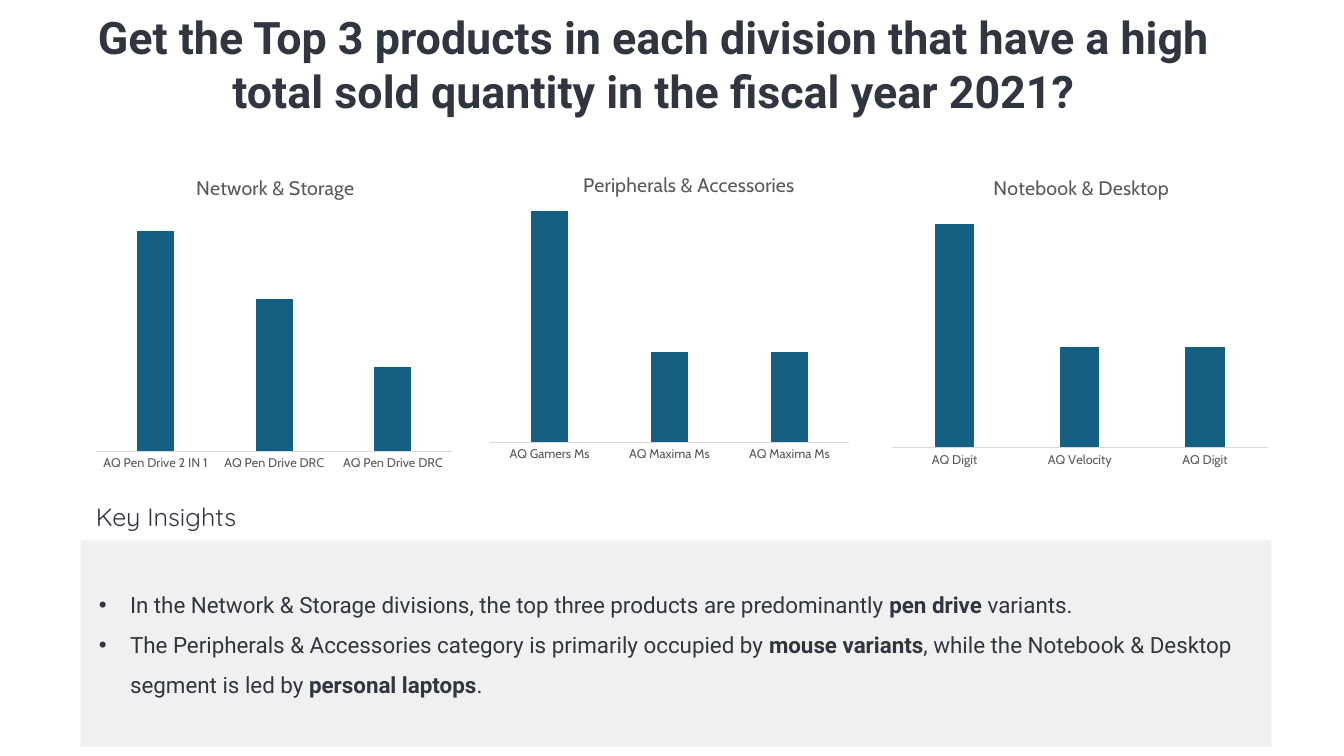
from lxml import etree
from pptx import Presentation
from pptx.chart.data import CategoryChartData
from pptx.dml.color import RGBColor
from pptx.enum import chart as charts, shapes, text
from pptx.oxml import ns
from pptx.util import Inches, Pt

INK = RGBColor(0x30, 0x35, 0x3F)
GREY = RGBColor(0x59, 0x59, 0x59)
RULE = RGBColor(0xD9, 0xD9, 0xD9)
PANEL = RGBColor(0xCF, 0xCF, 0xCF)
TEAL = RGBColor(0x15, 0x60, 0x82)
BLACK = RGBColor(0, 0, 0)

# Content: each paragraph is a list of (words, bold) spans
HEADING = [
    [("Get the Top 3 products in each division that have a high", True)],
    [("total sold quantity in the fiscal year 2021?", True)],
]
INSIGHTS_LABEL = [[("Key Insights", False)]]
INSIGHTS = [
    [("In the Network & Storage divisions, the top three products are predominantly ", False),
     ("pen drive ", True), ("variants.", False)],
    [("The Peripherals & Accessories category is primarily occupied by ", False),
     ("mouse variants", True),
     (", while the Notebook & Desktop segment is led by ", False),
     ("personal laptops", True), (".", False)],
]
# Box in inches; title spot and plot area as fractions of the box; value axis range
DIVISIONS = [
    dict(title="Network & Storage", box=(0.88, 1.57, 3.68, 3.16), spot=(0.28, 0.04),
         plot=(0.02, 0.23, 0.96, 0.69), scale=(93.5, 100),
         products=["AQ Pen Drive 2 IN 1", "AQ Pen Drive DRC", "AQ Pen Drive DRC"],
         sold=[100, 98, 96]),
    dict(title="Peripherals & Accessories", box=(4.7, 1.57, 3.88, 3.24), spot=(0.27, 0.03),
         plot=(0.04, 0.09, 0.92, 0.78), scale=(96.71, 100.34),
         products=["AQ Gamers Ms", "AQ Maxima Ms", "AQ Maxima Ms"],
         sold=[100, 98, 98]),
    dict(title="Notebook & Desktop", box=(8.77, 1.57, 3.88, 3.12), spot=(0.27, 0.04),
         plot=(0.02, 0.21, 0.96, 0.71), scale=(98.18, 100),
         products=["AQ Digit", "AQ Velocity", "AQ Digit"],
         sold=[100, 99, 99]),
]


def style_font(font, name, size, color, bold=False):
    font.name, font.size, font.bold = name, Pt(size), bold
    font.color.rgb = color


def add_text(page, bounds, paragraphs, name, size, align=None, bullets=False):
    box = page.shapes.add_textbox(*map(Inches, bounds))
    frame = box.text_frame
    frame.word_wrap = True
    frame.margin_left = frame.margin_right = frame.margin_top = frame.margin_bottom = 0
    for index, spans in enumerate(paragraphs):
        para = frame.add_paragraph() if index else frame.paragraphs[0]
        para.alignment = align
        if bullets:
            para.line_spacing = 1.5
            props = para._p.get_or_add_pPr()
            props.set("marL", str(Inches(0.31)))
            props.set("indent", str(-Inches(0.31)))
            etree.SubElement(props, ns.qn("a:buFont")).set("typeface", "Arial")
            etree.SubElement(props, ns.qn("a:buChar")).set("char", "•")
        for words, bold in spans:
            span = para.add_run()
            span.text = words
            style_font(span.font, name, size, INK, bold)


def make_layout(fractions, inner=False):
    layout = etree.Element(ns.qn("c:layout"))
    manual = etree.SubElement(layout, ns.qn("c:manualLayout"))
    settings = [("layoutTarget", "inner")] if inner else []
    settings += [("xMode", "edge"), ("yMode", "edge")]
    settings += zip("xywh", fractions)
    for tag, value in settings:
        etree.SubElement(manual, ns.qn("c:" + tag)).set("val", str(value))
    return layout


def set_layout(parent, layout, position):
    for old in parent.findall(ns.qn("c:layout")):
        parent.remove(old)
    parent.insert(position, layout)


def add_division(page, division):
    data = CategoryChartData()
    data.categories = division["products"]
    data.add_series("Series 1", division["sold"])
    chart = page.shapes.add_chart(charts.XL_CHART_TYPE.COLUMN_CLUSTERED,
                                  *map(Inches, division["box"]), data).chart
    style_font(chart.font, "Cabin", 10, BLACK)
    chart.has_legend = False

    # Title
    chart.has_title = True
    span = chart.chart_title.text_frame.paragraphs[0].add_run()
    span.text = division["title"]
    style_font(span.font, "Cabin", 14, GREY)
    set_layout(chart.chart_title._element, make_layout(division["spot"]), 1)
    chart.chart_title.include_in_layout = False

    # Columns
    plot = chart.plots[0]
    plot.gap_width, plot.overlap, plot.vary_by_categories = 219, -27, False
    fill = plot.series[0].format.fill
    fill.solid()
    fill.fore_color.rgb = TEAL
    area = chart._chartSpace.chart.plotArea
    set_layout(area, make_layout(division["plot"], inner=True), 0)

    # Axes
    products = chart.category_axis
    products.major_tick_mark = charts.XL_TICK_MARK.NONE
    style_font(products.tick_labels.font, "Cabin", 9, GREY)
    products.format.line.color.rgb = RULE
    products.format.line.width = Pt(0.75)
    sold = chart.value_axis
    sold.has_major_gridlines = False
    sold.minimum_scale, sold.maximum_scale = division["scale"]
    sold.visible = False


def main():
    deck = Presentation()
    deck.slide_width, deck.slide_height = Inches(13.33), Inches(7.5)
    page = deck.slides.add_slide(deck.slide_layouts[6])

    # Insights panel
    panel = page.shapes.add_shape(shapes.MSO_SHAPE.RECTANGLE,
                                  *map(Inches, (0.8, 5.36, 11.81, 2.05)))
    panel.shadow.inherit = False
    panel.line.fill.background()
    panel.fill.solid()
    panel.fill.fore_color.rgb = PANEL
    tint = panel.fill._xPr.find(".//" + ns.qn("a:srgbClr"))
    etree.SubElement(tint, ns.qn("a:alpha")).set("val", "30000")

    # Text
    add_text(page, (0.98, 5.73, 11.38, 1.16), INSIGHTS, "Roboto", 16, bullets=True)
    add_text(page, (0.95, 4.97, 1.69, 0.31), INSIGHTS_LABEL, "Quicksand", 18)
    add_text(page, (-0.44, 0.1, 13.85, 1.08), HEADING, "Roboto", 32,
             align=text.PP_ALIGN.CENTER)

    # One chart per division
    for division in DIVISIONS:
        add_division(page, division)

    deck.save("out.pptx")


if __name__ == "__main__":
    main()
